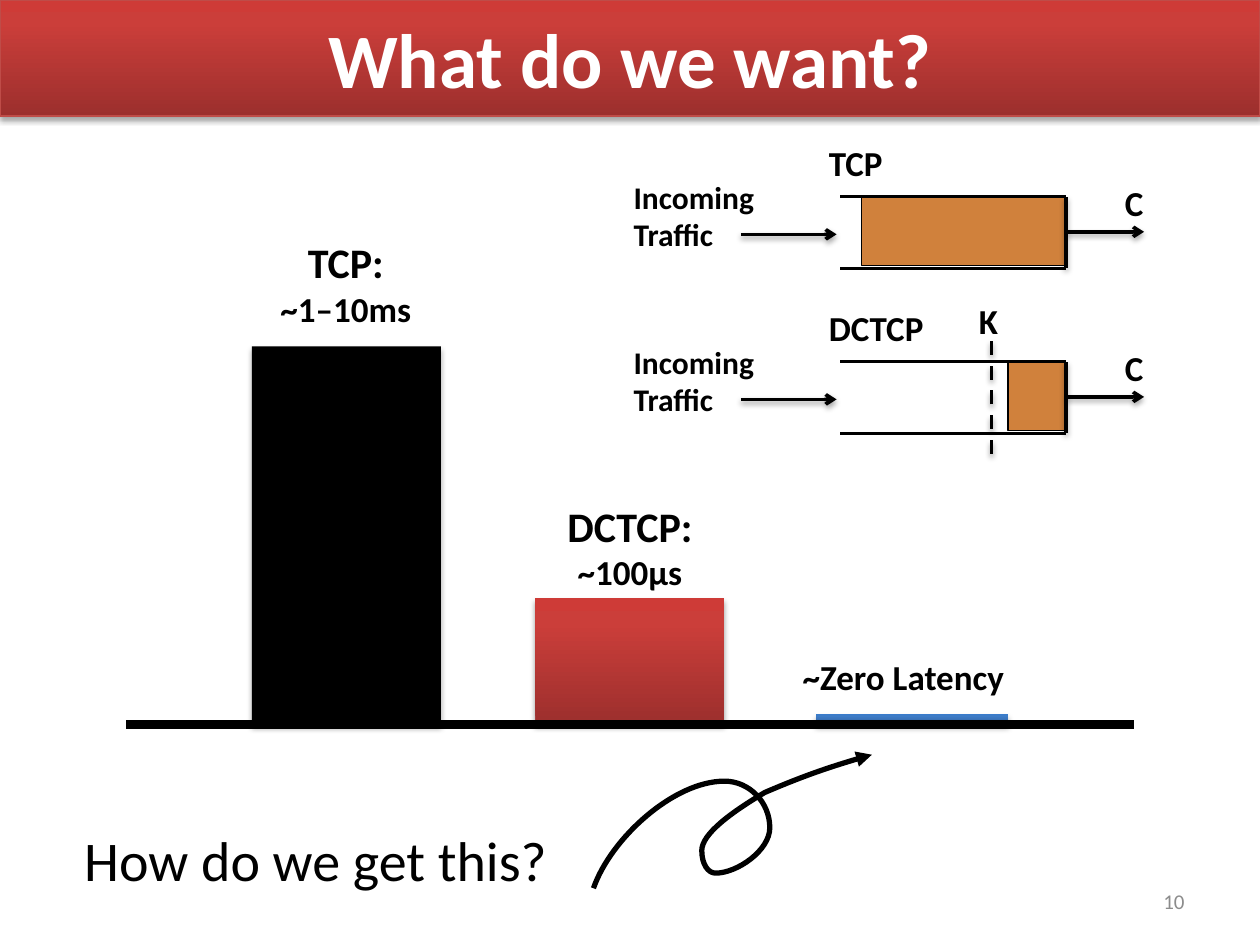
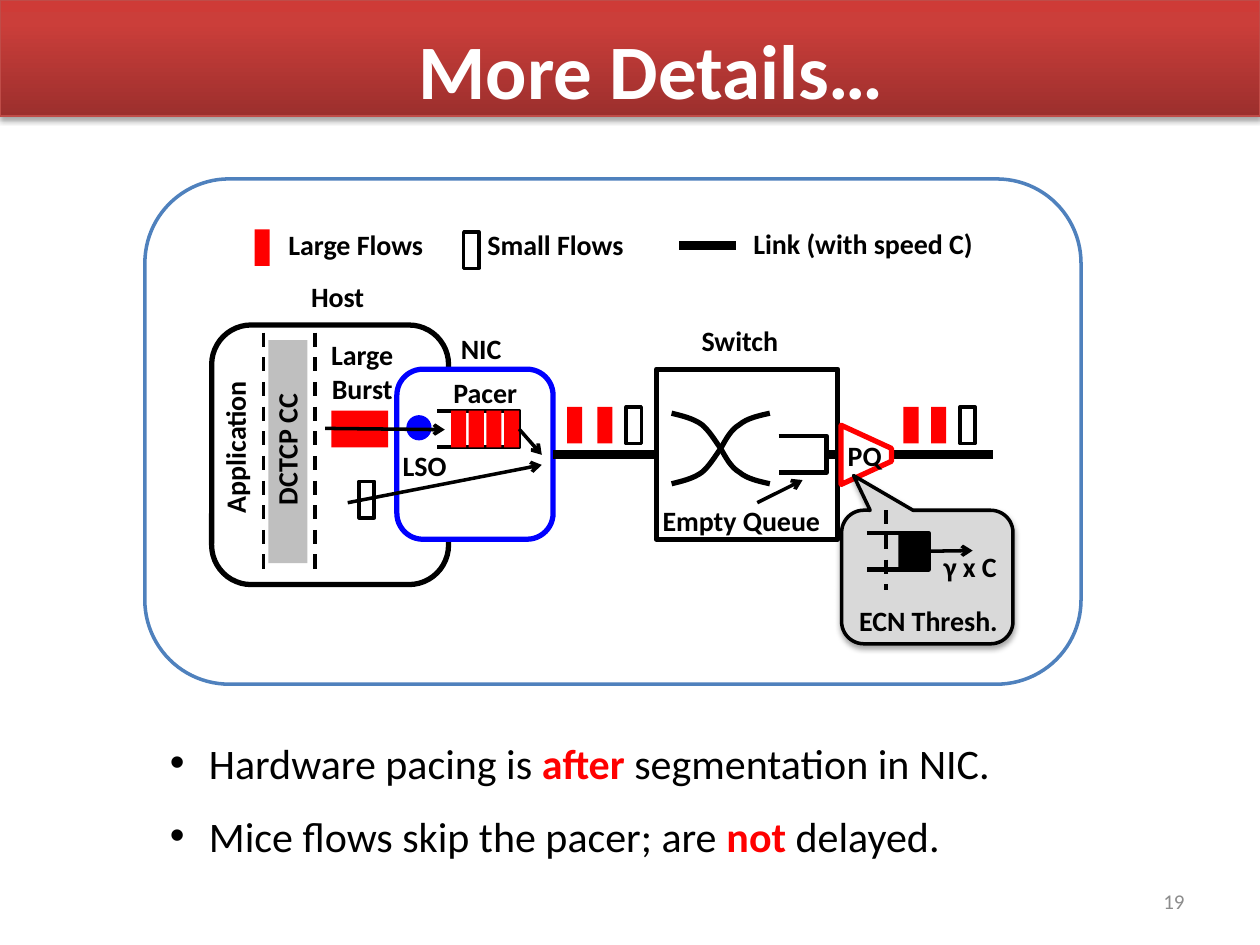
from copy import deepcopy

from lxml.etree import SubElement
from pptx import Presentation
from pptx.dml.color import RGBColor
from pptx.enum.dml import MSO_LINE
from pptx.enum.shapes import MSO_CONNECTOR, MSO_SHAPE
from pptx.enum.text import MSO_ANCHOR, PP_ALIGN
from pptx.oxml.ns import qn
from pptx.util import Inches, Pt

FONT = "Calibri"
BLACK = RGBColor(0x00, 0x00, 0x00)
WHITE = RGBColor(0xFF, 0xFF, 0xFF)
RED = RGBColor(0xFF, 0x00, 0x00)
BLUE = RGBColor(0x00, 0x00, 0xFF)
ORANGE = RGBColor(0xD0, 0x81, 0x3C)
FRAME_BLUE = RGBColor(0x4F, 0x81, 0xBD)
BAND_EDGE = RGBColor(0xBF, 0x4C, 0x48)
BAND_GRAY = RGBColor(0xBF, 0xBF, 0xBF)
CALLOUT_GRAY = RGBColor(0xD9, 0xD9, 0xD9)
NUMBER_GRAY = RGBColor(0x8C, 0x8C, 0x8C)
RED_GRADIENT = [(0, RGBColor(0x9C, 0x2F, 0x2D)), (0.8, RGBColor(0xCB, 0x3E, 0x3A)),
                (1, RGBColor(0xCE, 0x3B, 0x37))]
BLUE_GRADIENT = [(0, RGBColor(0x2F, 0x5F, 0x99)), (0.8, RGBColor(0x3D, 0x7C, 0xC7)),
                 (1, RGBColor(0x3A, 0x7C, 0xCB))]

# Latency slide
BASELINE = 5.75
BARS = [  # left, width, height, fill
    (2, 1.5, 3, BLACK),
    (4.25, 1.5, 1, RED_GRADIENT),
    (6.48, 1.52, 0.08, BLUE_GRADIENT),
]
BAR_LABELS = [  # lines with sizes, left, top, width, height
    ([("TCP:", 24), ("~1–10ms", 20)], 1.83, 1.83, 1.83, 0.84),
    ([("DCTCP:", 24), ("~100μs", 20)], 4, 3.92, 2, 0.84),
    ([("~Zero Latency", 20)], 5.92, 5.15, 2.5, 0.44),
]
QUEUES = [("TCP", 1.56, 6.84), ("DCTCP", 2.87, 8)]  # name, top, left of backlog
QUEUE_LEFT, QUEUE_RIGHT, QUEUE_HEIGHT = 6.67, 8.46, 0.57
LOOP = [
    (4.71, 7.05), (4.85, 6.65), (5.35, 6.2), (5.75, 6.2), (5.95, 6.2), (6.11, 6.37),
    (6.11, 6.57), (6.11, 6.75), (5.85, 6.93), (5.68, 6.93), (5.62, 6.93), (5.57, 6.86),
    (5.57, 6.75), (5.57, 6.62), (5.8, 6.45), (6.07, 6.29), (6.35, 6.17), (6.6, 6.08),
    (6.92, 5.99),
]

# Details slide
LARGE_PACKETS = [(2.02, 1.82), (4.5, 3.23), (4.74, 3.23), (7.17, 3.23), (7.39, 3.23)]
SMALL_PACKETS = [(3.68, 1.84), (2.85, 3.82), (4.97, 3.23), (7.62, 3.23)]
PACKET = (0.12, 0.29)
PACED_LEFT, PACED_STEP, PACED_COUNT = 3.58, 0.14, 4
OPEN_QUEUES = [(3.47, 3.26, 4.12), (6.18, 3.46, 6.56)]  # left, top, right
LABELS = [  # text, left, top, width
    ("Large Flows", 2.19, 1.76, 1.92),
    ("Small Flows", 3.77, 1.76, 1.92),
    ("Link (with speed C)", 5.88, 1.75, 2.25),
    ("Host", 2.37, 2.17, 0.78),
    ("NIC", 3.56, 2.58, 0.74),
    ("Pacer", 3.5, 2.93, 0.88),
    ("Switch", 5.47, 2.52, 1.06),
    ("Empty Queue", 5.16, 3.95, 1.78),
    ("PQ", 6.63, 3.43, 0.64),
    ("ECN Thresh.", 6.72, 4.74, 1.53),
    ("γ x C", 7.39, 4.31, 1.53),
]
SIDE_LABELS = [("Application", 1.17, 3.27), ("DCTCP CC", 1.58, 3.21)]
CROSSING = [
    (5.33, 3.28), (5.41, 3.3), (5.5, 3.32), (5.57, 3.37), (5.63, 3.42), (5.67, 3.49),
    (5.72, 3.56), (5.76, 3.63), (5.8, 3.71), (5.87, 3.75), (5.93, 3.8), (6.02, 3.82),
    (6.11, 3.84),
]
BULLETS = [  # runs with emphasis
    [("Hardware pacing is ", False), ("after ", True), ("segmentation in NIC.", False)],
    [("Mice flows skip the pacer; are ", False), ("not", True), (" delayed.", False)],
]


def set_effects(shape, shadow):
    properties = shape._element.spPr
    effects = properties.find(qn("a:effectLst"))
    if effects is None:
        effects = SubElement(properties, qn("a:effectLst"))
    if shadow:
        outer = SubElement(effects, qn("a:outerShdw"), blurRad="40000", dist="23000",
                           dir="5400000", rotWithShape="0")
        color = SubElement(outer, qn("a:srgbClr"), val="000000")
        SubElement(color, qn("a:alpha"), val="35000")


def set_arrowhead(shape, kind):
    SubElement(shape.line._get_or_add_ln(), qn("a:tailEnd"), type=kind)


def set_fill(shape, fill):
    """Fill with a colour, a list of gradient stops running upwards, or nothing."""
    if fill is None:
        shape.fill.background()
    elif isinstance(fill, list):
        shape.fill.gradient()
        shape.fill.gradient_angle = 90
        stops = shape._element.spPr.find(qn("a:gradFill")).find(qn("a:gsLst"))
        stops.append(deepcopy(stops[0]))
        for stop, (position, color) in zip(shape.fill.gradient_stops, fill):
            stop.position = position
            stop.color.rgb = color
    else:
        shape.fill.solid()
        shape.fill.fore_color.rgb = fill


def set_line(shape, color, width):
    if color is None:
        shape.line.fill.background()
    else:
        shape.line.color.rgb = color
        shape.line.width = Pt(width)


def add_shape(slide, left, top, width, height, fill=None, line=None, line_width=2,
              kind=MSO_SHAPE.RECTANGLE, shadow=False):
    shape = slide.shapes.add_shape(kind, Inches(left), Inches(top), Inches(width), Inches(height))
    set_fill(shape, fill)
    set_line(shape, line, line_width)
    shape.shadow.inherit = False
    set_effects(shape, shadow)
    return shape


def add_line(slide, start, end, width=2, arrow=False, dashed=False, shadow=False,
             begin=None, finish=None):
    """Draw a line; begin leaves a shape's right side, finish enters a left side."""
    line = slide.shapes.add_connector(MSO_CONNECTOR.STRAIGHT, *map(Inches, start + end))
    if begin is not None:
        line.begin_connect(begin, 3)
    if finish is not None:
        line.end_connect(finish, 1)
    set_line(line, BLACK, width)
    if dashed:
        line.line.dash_style = MSO_LINE.DASH
    if arrow:
        set_arrowhead(line, "arrow")
    set_effects(line, shadow)


def add_path(slide, points, width):
    first, *rest = [(Inches(x), Inches(y)) for x, y in points]
    builder = slide.shapes.build_freeform(*first)
    builder.add_line_segments(rest, close=False)
    path = builder.convert_to_shape()
    set_fill(path, None)
    set_line(path, BLACK, width)
    path.shadow.inherit = False
    return path


def add_curve(slide, points, width=3):
    """Draw cubic curves: a start, then two control points and an end for each."""
    curve = add_path(slide, points, width)
    outline = next(curve._element.iter(qn("a:path")))
    segments = outline.findall(qn("a:lnTo"))
    for index in range(0, len(segments), 3):
        bezier = SubElement(outline, qn("a:cubicBezTo"))
        for segment in segments[index:index + 3]:
            bezier.append(segment[0])
            outline.remove(segment)
    return curve


def add_text(slide, text, left, top, width, height=0.39, size=16, bold=True, color=BLACK,
             align=PP_ALIGN.LEFT, anchor=MSO_ANCHOR.TOP):
    box = slide.shapes.add_textbox(Inches(left), Inches(top), Inches(width), Inches(height))
    frame = box.text_frame
    frame.word_wrap = True
    frame.vertical_anchor = anchor
    frame.text = text
    for para in frame.paragraphs:
        para.alignment = align
        for span in para.runs:
            style_span(span, size, bold, color)
    return box


def style_span(span, size, bold, color):
    span.font.name = FONT
    span.font.size = Pt(size)
    span.font.bold = bold
    span.font.color.rgb = color


def add_page(deck, title, number, title_place):
    page = deck.slides.add_slide(deck.slide_layouts[6])
    add_shape(page, 0, 0, 10, 0.92, RED_GRADIENT, BAND_EDGE, 0.75, shadow=True)
    add_text(page, title, *title_place, size=44, color=WHITE,
             align=PP_ALIGN.CENTER, anchor=MSO_ANCHOR.MIDDLE)
    add_text(page, number, 7.17, 6.95, 2.33, 0.4, 12, False, NUMBER_GRAY,
             PP_ALIGN.RIGHT, MSO_ANCHOR.MIDDLE)
    return page


def draw_queue(page, name, top, backlog_left):
    bottom = top + QUEUE_HEIGHT
    backlog = add_shape(page, backlog_left, top + 0.01, QUEUE_RIGHT - backlog_left + 0.01, 0.54,
                        ORANGE, BLACK, 0.75)
    for y in (top, bottom):
        add_line(page, (QUEUE_LEFT, y), (QUEUE_RIGHT, y))
    add_line(page, (QUEUE_RIGHT, bottom), (QUEUE_RIGHT, top), shadow=True)
    add_line(page, (QUEUE_RIGHT, top + 0.28), (9.08, top + 0.28), arrow=True, shadow=True,
             begin=backlog)
    add_line(page, (5.88, top + 0.3), (6.64, top + 0.3), arrow=True, shadow=True)
    add_text(page, "C", 8.83, top - 0.17, 0.76, 0.44, 20)
    add_text(page, "Incoming Traffic", 4.93, top - 0.2, 1.42, 0.71, 18)
    add_text(page, name, 6.48, top - 0.49, 1.12, 0.44, 20)


def build_latency(deck):
    page = add_page(deck, "What do we want?", "10", (0, 0, 10, 0.92))
    for left, width, height, fill in BARS:
        add_shape(page, left, BASELINE - height, width, height, fill, shadow=True)
    add_line(page, (1, BASELINE), (9, BASELINE), 5)
    for lines, *place in BAR_LABELS:
        box = add_text(page, "\n".join(text for text, _ in lines), *place, align=PP_ALIGN.CENTER)
        for para, (_, size) in zip(box.text_frame.paragraphs, lines):
            para.runs[0].font.size = Pt(size)
    add_text(page, "How do we get this?", 0.57, 6.5, 4.1, 0.64, 32, False)
    set_arrowhead(add_curve(page, LOOP), "triangle")
    for queue in QUEUES:
        draw_queue(page, *queue)
    add_line(page, (7.87, 3.6), (7.87, 2.67), dashed=True, shadow=True)
    add_text(page, "K", 7.67, 2.33, 0.51, 0.44, 20)


def draw_open_queue(page, left, top, right):
    bottom = top + 0.29
    add_path(page, [(left, top), (right, top), (right, bottom), (left, bottom)], 2.5)


def draw_host(page):
    add_shape(page, 2.13, 2.7, 0.31, 1.77, BAND_GRAY)
    add_shape(page, 1.68, 2.58, 1.88, 2.06, None, BLACK, 3, MSO_SHAPE.ROUNDED_RECTANGLE)
    for x in (2.09, 2.5):
        add_line(page, (x, 2.64), (x, 4.58), dashed=True)
    nic = add_shape(page, 3.15, 2.93, 1.24, 1.35, WHITE, BLUE, 3, MSO_SHAPE.ROUNDED_RECTANGLE)
    add_shape(page, 2.63, 3.26, 0.45, 0.29, RED)
    add_shape(page, 3.23, 3.3, 0.19, 0.19, BLUE, BLUE, 0.75, MSO_SHAPE.OVAL)
    return nic


def draw_switch(page):
    switch = add_shape(page, 5.21, 2.93, 1.44, 1.35, None, BLACK, 3)
    add_curve(page, CROSSING)
    axis = CROSSING[0][1] + CROSSING[-1][1]
    add_curve(page, [(x, axis - y) for x, y in CROSSING])
    add_line(page, (6.58, 3.61), (7.88, 3.61), 5)
    add_line(page, (6.01, 3.99), (6.37, 3.81), arrow=True)
    phantom = add_shape(page, 6.64, 3.41, 0.47, 0.4, WHITE, RED, 3, MSO_SHAPE.TRAPEZOID)
    phantom.rotation = 90
    phantom.adjustments[0] = 0.46
    return switch


def draw_threshold_callout(page):
    callout = add_shape(page, 6.68, 4.05, 1.36, 1.06, CALLOUT_GRAY, BLACK, 2,
                        MSO_SHAPE.ROUNDED_RECTANGULAR_CALLOUT, shadow=True)
    callout.adjustments[0] = -0.43
    callout.adjustments[1] = -0.76
    draw_open_queue(page, 6.88, 4.23, 7.37)
    backlog = add_shape(page, 7.13, 4.23, 0.24, 0.29, BLACK)
    add_line(page, (7.03, 4.05), (7.03, 4.68), dashed=True)
    add_line(page, (7.39, 4.37), (7.72, 4.37), arrow=True, begin=backlog)


def build_details(deck):
    page = add_page(deck, "More Details…", "19", (0.67, -0.08, 9, 1.25))
    add_shape(page, 1.15, 1.42, 7.43, 4.01, WHITE, FRAME_BLUE, 2, MSO_SHAPE.ROUNDED_RECTANGLE)
    nic = draw_host(page)
    switch = draw_switch(page)
    add_line(page, (4.39, 3.61), (5.21, 3.61), 5, begin=nic, finish=switch)
    add_line(page, (5.39, 1.95), (5.84, 1.95), 5)
    for queue in OPEN_QUEUES:
        draw_open_queue(page, *queue)
    for place in LARGE_PACKETS:
        add_shape(page, *place, *PACKET, RED)
    for place in SMALL_PACKETS:
        add_shape(page, *place, *PACKET, WHITE, BLACK)
    for index in range(PACED_COUNT):
        paced = add_shape(page, PACED_LEFT + index * PACED_STEP, 3.26, *PACKET, RED)
    add_line(page, (4.12, 3.4), (4.3, 3.61), arrow=True, begin=paced)
    add_line(page, (2.76, 3.99), (4.3, 3.69), arrow=True)
    add_line(page, (2.58, 3.4), (3.53, 3.41), arrow=True)
    draw_threshold_callout(page)
    for label in LABELS:
        add_text(page, *label)
    for text, left, top in SIDE_LABELS:
        add_text(page, text, left, top, 1.41).rotation = 270
    add_text(page, "LSO", 3.03, 3.51, 0.68, align=PP_ALIGN.CENTER)
    add_text(page, "Large\nBurst", 2.46, 2.63, 0.83, 0.67, align=PP_ALIGN.CENTER)
    add_bullets(page)


def add_bullets(page):
    frame = add_text(page, "", 1.25, 5.8, 6.88, 1.11).text_frame
    for index, spans in enumerate(BULLETS):
        para = frame.add_paragraph() if index else frame.paragraphs[0]
        properties = para._p.get_or_add_pPr()
        properties.set("marL", str(Inches(0.31)))
        properties.set("indent", str(-Inches(0.31)))
        SubElement(properties, qn("a:buFont"), typeface="Arial")
        SubElement(properties, qn("a:buChar"), char="•")
        if index:
            para.space_before = Pt(13)
        for text, strong in spans:
            span = para.add_run()
            span.text = text
            style_span(span, 24, strong, RED if strong else BLACK)


def main():
    deck = Presentation()
    deck.slide_width, deck.slide_height = Inches(10), Inches(7.5)
    build_latency(deck)
    build_details(deck)
    deck.save("out.pptx")


if __name__ == "__main__":
    main()
